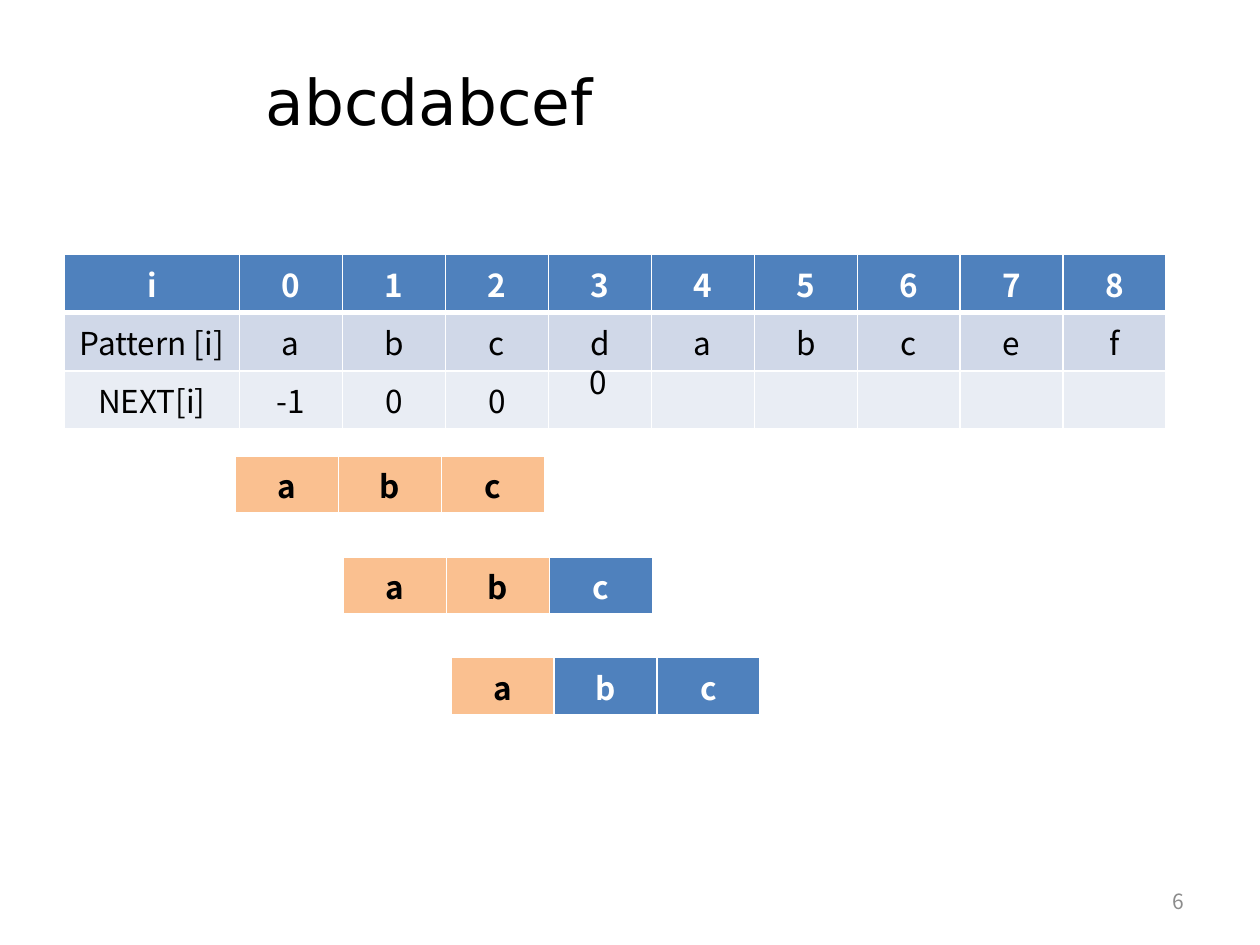
from dataclasses import dataclass

from lxml import etree
from pptx import Presentation
from pptx.dml.color import RGBColor
from pptx.enum.text import MSO_ANCHOR, PP_ALIGN
from pptx.oxml.ns import qn
from pptx.util import Pt

LEFT, MID, RIGHT = PP_ALIGN.LEFT, PP_ALIGN.CENTER, PP_ALIGN.RIGHT
TOP, CENTER = MSO_ANCHOR.TOP, MSO_ANCHOR.MIDDLE
SANS, CJK = "DejaVu Sans", "Noto Sans CJK KR"
COLORS = {
    "black": "000000", "white": "FFFFFF", "gray": "8C8C8C",
    "blue": "4F81BD", "band": "D0D8E8", "pale": "E9EDF4", "peach": "FAC090",
}
BODY = {"name": CJK, "size": Pt(18), "bold": False}
HEAD = BODY | {"bold": True}
COL, ROW, LABEL = 58.86, 29.5, 100.08


@dataclass
class Cell:
    text: str
    fill: str
    ink: str
    font: dict
    base: int


@dataclass
class Grid:
    left: float
    top: float
    cols: list[float]
    rows: list[list[Cell]]


@dataclass
class Label:
    text: str
    box: tuple[float, float, float, float]
    ink: str
    font: dict
    align: int
    anchor: int
    wrap: bool


def color(name: str) -> RGBColor:
    return RGBColor.from_string(COLORS[name])


def write(frame, text: str, ink: str, font: dict, align: int) -> None:
    para = frame.paragraphs[0]
    para.alignment = align
    if not text:
        return
    run = para.add_run()
    run.text = text
    for key, value in font.items():
        setattr(run.font, key, value)
    run.font.color.rgb = color(ink)


def border(cell, base: int) -> None:
    props = cell._tc.get_or_add_tcPr()
    for side, width in (("L", 1), ("R", 1), ("T", 1), ("B", base)):
        line = etree.SubElement(props, qn(f"a:ln{side}"), w=str(Pt(width)))
        solid = etree.SubElement(line, qn("a:solidFill"))
        etree.SubElement(solid, qn("a:srgbClr"), val=COLORS["white"])


def draw_grid(slide, grid: Grid) -> None:
    table = slide.shapes.add_table(
        len(grid.rows), len(grid.cols), Pt(grid.left), Pt(grid.top),
        Pt(sum(grid.cols)), Pt(ROW * len(grid.rows))).table
    for col, width in zip(table.columns, grid.cols):
        col.width = Pt(width)
    for r, row in enumerate(grid.rows):
        for c, item in enumerate(row):
            cell = table.cell(r, c)
            border(cell, item.base)
            cell.fill.solid()
            cell.fill.fore_color.rgb = color(item.fill)
            write(cell.text_frame, item.text, item.ink, item.font, MID)


def draw_label(slide, label: Label) -> None:
    frame = slide.shapes.add_textbox(*map(Pt, label.box)).text_frame
    frame.word_wrap = label.wrap
    frame.vertical_anchor = label.anchor
    write(frame, label.text, label.ink, label.font, label.align)


def shift(step: int) -> Grid:
    row = [
        Cell(char, "peach", "black", HEAD, 3) if i + step < 3
        else Cell(char, "blue", "white", HEAD, 3)
        for i, char in enumerate("abc")
    ]
    return Grid(134.64 + 61.56 * step, 260.64 + 57.6 * step, [COL] * 3, [row])


WORD = "abcdabcef"
STYLES = [
    (["i", *map(str, range(9))], "blue", "white", HEAD, 3),
    (["Pattern [i]", *WORD], "band", "black", BODY, 1),
    (["NEXT[i]", "-1", "0", "0", *[""] * 6], "pale", "black", BODY, 1),
]
MAIN = Grid(36.72, 145.44, [LABEL] + [COL] * 9,
            [[Cell(text, *style) for text in texts] for texts, *style in STYLES])
LABELS = [
    Label(WORD, (144.72, 20.88, 508.32, 72.72), "black",
          {"name": SANS, "size": Pt(36)}, LEFT, CENTER, True),
    Label("6", (516.24, 500.4, 167.76, 28.8), "gray",
          {"name": CJK, "size": Pt(12)}, RIGHT, CENTER, True),
    Label("0", (329.76, 203.76, 24.48, 28.8), "black", BODY, MID, TOP, False),
]

deck = Presentation()
deck.slide_width, deck.slide_height = Pt(720), Pt(540)
slide = deck.slides.add_slide(deck.slide_layouts[6])
for grid in [MAIN, *map(shift, range(3))]:
    draw_grid(slide, grid)
for label in LABELS:
    draw_label(slide, label)
deck.save("out.pptx")
